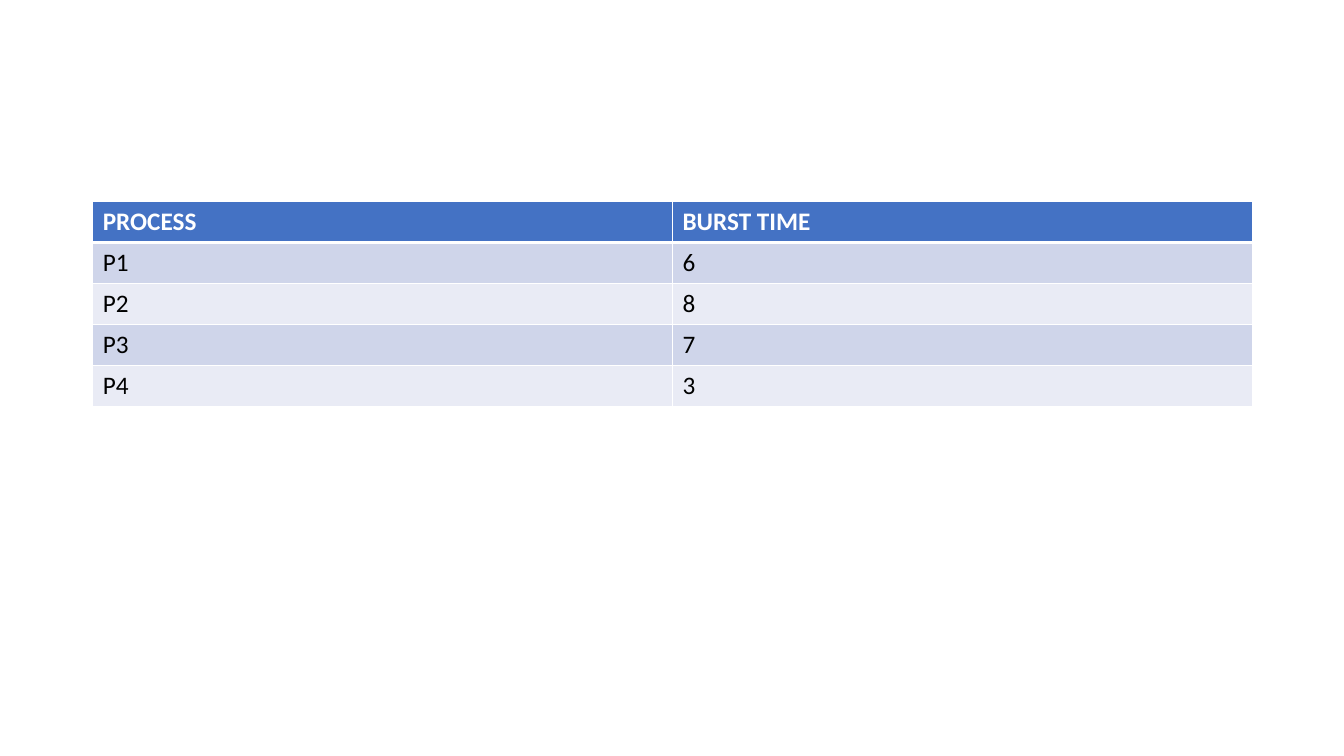
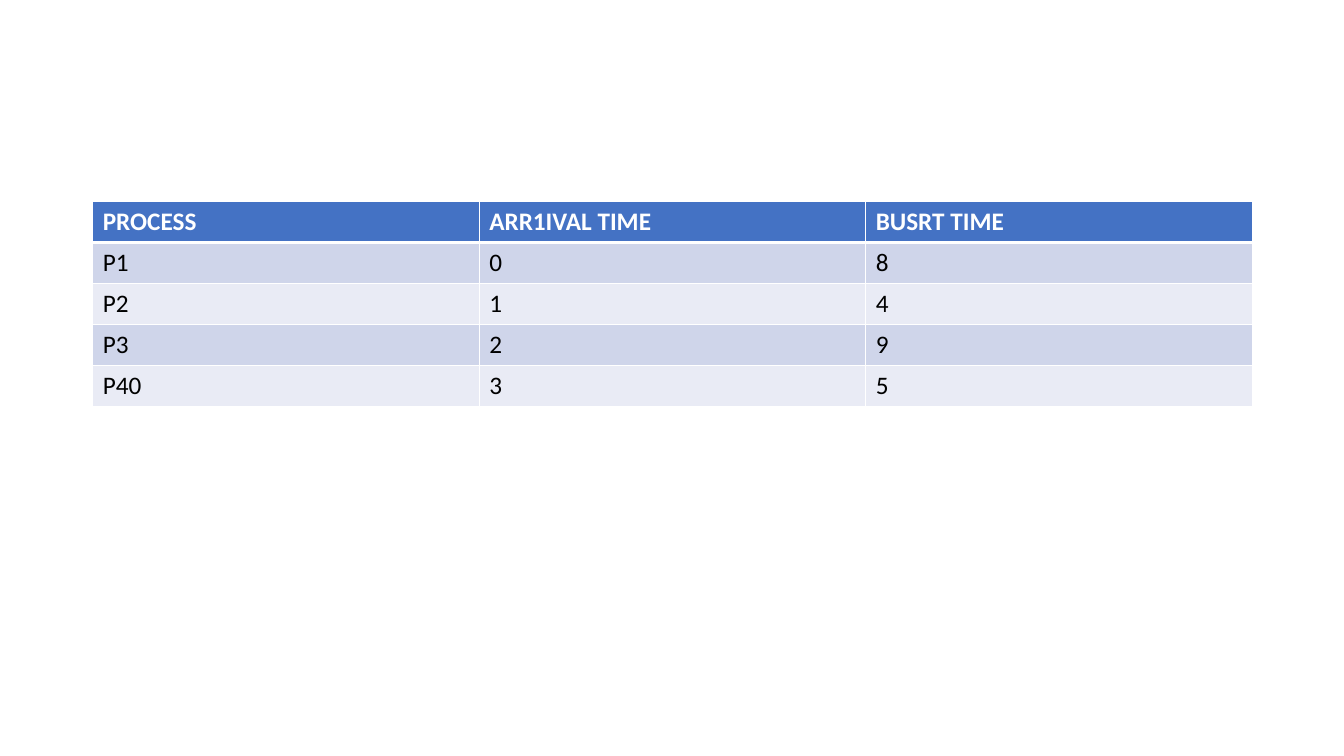
from dataclasses import dataclass

from lxml.etree import SubElement
from pptx import Presentation
from pptx.dml.color import RGBColor
from pptx.oxml.ns import qn
from pptx.util import Inches, Pt

FONT = "Calibri"
WHITE = "FFFFFF"
BLACK = "000000"
HEADER_BLUE = "4472C4"
BANDS = ("CFD5EA", "E9EBF5")
LEFT, TOP, WIDTH, HEIGHT = Inches(0.92), Inches(2), Inches(11.5), Inches(2.03)
THIN, THICK = Pt(1), Pt(3)


@dataclass(frozen=True)
class Schedule:
    """Column headings and process rows of one scheduling example."""

    headings: tuple[str, ...]
    processes: tuple[tuple[str, ...], ...]


SCHEDULES = (
    Schedule(
        ("PROCESS", "BURST TIME"),
        (("P1", "6"), ("P2", "8"), ("P3", "7"), ("P4", "3")),
    ),
    Schedule(
        ("PROCESS", "ARR1IVAL TIME", "BUSRT TIME"),
        (("P1", "0", "8"), ("P2", "1", "4"), ("P3", "2", "9"), ("P40", "3", "5")),
    ),
)


def rgb(color: str) -> RGBColor:
    """Turn a hex string into a colour."""
    return RGBColor.from_string(color)


def add_borders(cell, top: int, bottom: int) -> None:
    """Give a cell white borders with the stated top and bottom widths."""
    properties = cell._tc.get_or_add_tcPr()
    for side, width in (("L", THIN), ("R", THIN), ("T", top), ("B", bottom)):
        border = SubElement(properties, qn(f"a:ln{side}"), w=str(width))
        fill = SubElement(border, qn("a:solidFill"))
        SubElement(fill, qn("a:srgbClr"), val=WHITE)


def format_cell(cell, text: str, row: int) -> None:
    """Write a cell as a heading in row 0 and as banded body text below."""
    heading = row == 0
    add_borders(cell, THICK if row == 1 else THIN, THICK if heading else THIN)
    cell.fill.solid()
    cell.fill.fore_color.rgb = rgb(HEADER_BLUE if heading else BANDS[(row - 1) % 2])
    cell.text = text
    font = cell.text_frame.paragraphs[0].font
    font.name, font.size, font.bold = FONT, Pt(18), heading
    font.color.rgb = rgb(WHITE if heading else BLACK)


def add_schedule(presentation, schedule: Schedule) -> None:
    """Add a slide that holds one scheduling table."""
    slide = presentation.slides.add_slide(presentation.slide_layouts[6])
    rows = (schedule.headings, *schedule.processes)
    table = slide.shapes.add_table(
        len(rows), len(schedule.headings), LEFT, TOP, WIDTH, HEIGHT
    ).table
    for row, texts in enumerate(rows):
        for column, text in enumerate(texts):
            format_cell(table.cell(row, column), text, row)


def main() -> None:
    """Build and save the presentation."""
    presentation = Presentation()
    presentation.slide_width, presentation.slide_height = Inches(13.33), Inches(7.5)
    for schedule in SCHEDULES:
        add_schedule(presentation, schedule)
    presentation.save("out.pptx")


if __name__ == "__main__":
    main()
